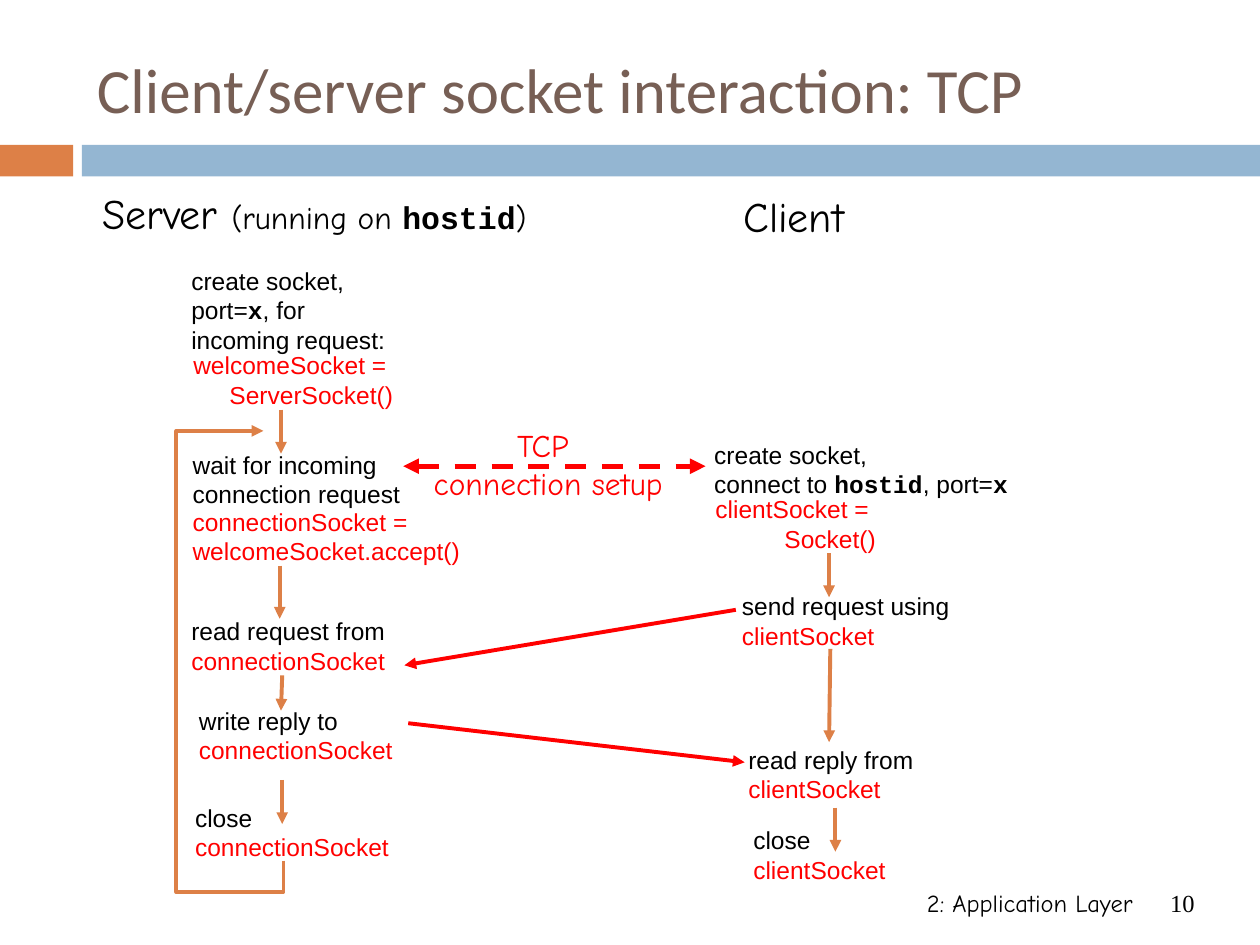
from lxml import etree
from pptx import Presentation
from pptx.dml.color import RGBColor
from pptx.enum.dml import MSO_LINE
from pptx.enum.shapes import MSO_CONNECTOR, MSO_SHAPE
from pptx.enum.text import MSO_ANCHOR, MSO_AUTO_SIZE, PP_ALIGN
from pptx.oxml.ns import qn
from pptx.util import Inches, Pt

LEFT, CENTER, RIGHT = PP_ALIGN.LEFT, PP_ALIGN.CENTER, PP_ALIGN.RIGHT
TOP, MIDDLE = MSO_ANCHOR.TOP, MSO_ANCHOR.MIDDLE
FIXED, GROW = MSO_AUTO_SIZE.NONE, MSO_AUTO_SIZE.SHAPE_TO_FIT_TEXT
STRAIGHT, RECT, DASH = MSO_CONNECTOR.STRAIGHT, MSO_SHAPE.RECTANGLE, MSO_LINE.DASH

ORANGE = RGBColor(0xDD, 0x80, 0x47)
BLUE = RGBColor(0x94, 0xB6, 0xD2)
BROWN = RGBColor(0x77, 0x5F, 0x55)
RED = RGBColor(0xFF, 0x00, 0x00)
BLACK = RGBColor(0x00, 0x00, 0x00)

SANS, HAND, MONO, SERIF, HEADING = (
    "Arial", "Comic Neue", "Courier New", "Times New Roman", "Calibri")

prs = Presentation()
prs.slide_width, prs.slide_height = Inches(10), Inches(7.5)
s = prs.slides.add_slide(prs.slide_layouts[6])


def add_text(box, paragraphs, align=LEFT, anchor=MIDDLE, wrap=False):
    """Each paragraph is a list of runs: text, font, size, colour.

    A box that does not wrap grows to fit its text.
    """
    sp = s.shapes.add_textbox(*(Inches(v) for v in box))
    tf = sp.text_frame
    tf.word_wrap = wrap
    tf.auto_size = FIXED if wrap else GROW
    tf.vertical_anchor = anchor
    for i, runs in enumerate(paragraphs):
        p = tf.add_paragraph() if i else tf.paragraphs[0]
        p.alignment = align
        for text, font, size, color in runs:
            r = p.add_run()
            r.text = text
            r.font.name = font
            r.font.size = Pt(size)
            r.font.bold = font == MONO
            r.font.color.rgb = color


def style_arrow(sp, color, width=2.25, dash=None, ends=("tailEnd",)):
    sp.line.color.rgb = color
    sp.line.width = Pt(width)
    if dash:
        sp.line.dash_style = dash
    ln = sp.line._get_or_add_ln()
    for end in ends:
        etree.SubElement(ln, qn(f"a:{end}"), type="triangle")
    etree.SubElement(sp._element.spPr, qn("a:effectLst"))


# Header bars, title and footer
for left, width, color in [(0, 0.58, ORANGE), (0.65, 9.35, BLUE)]:
    sp = s.shapes.add_shape(RECT, Inches(left), Inches(1.15), Inches(width), Inches(0.25))
    sp.shadow.inherit = False
    sp.fill.solid()
    sp.fill.fore_color.rgb = color
    sp.line.fill.background()

add_text((0.67, 0.25, 8.92, 0.9),
         [[("Client/server socket interaction: TCP", HEADING, 36, BROWN)]], wrap=True)
add_text((5.92, 7, 3.17, 0.5), [[("2: Application Layer", HAND, 14, BLACK)]],
         RIGHT, TOP, True)
add_text((9.08, 7, 0.5, 0.5), [[("10", SERIF, 14, BLACK)]], RIGHT, TOP, True)

# Column headings
add_text((0.71, 1.44, 3.57, 0.5),
         [[("Server ", HAND, 24, BLACK), ("(running on ", HAND, 18, BLACK),
           ("hostid", MONO, 18, BLACK), (")", HAND, 18, BLACK)]], CENTER)
add_text((5.8, 1.46, 1, 0.5), [[("Client", HAND, 24, BLACK)]], CENTER)

# Socket creation steps with inline code
add_text((1.42, 2.06, 1.74, 0.8),
         [[("create socket,", SANS, 14, BLACK)],
          [("port=", SANS, 14, BLACK), ("x", MONO, 14, BLACK), (", for", SANS, 14, BLACK)],
          [("incoming request:", SANS, 14, BLACK)]])
add_text((5.57, 3.44, 2.53, 0.57),
         [[("create socket,", SANS, 14, BLACK)],
          [("connect to ", SANS, 14, BLACK), ("hostid", MONO, 14, BLACK),
           (", port=", SANS, 14, BLACK), ("x", MONO, 14, BLACK)]])

# Two-line steps: left, top, width, lines, colours, alignment
two_line_steps = [
    (1.43, 2.73, 1.79, "welcomeSocket = ", "ServerSocket()", RED, RED, RIGHT),
    (1.43, 3.52, 1.85, "wait for incoming", "connection request", BLACK, BLACK, LEFT),
    (1.43, 3.97, 2.34, "connectionSocket =", "welcomeSocket.accept()", RED, RED, LEFT),
    (1.42, 4.84, 1.74, "read request from", "connectionSocket", BLACK, RED, LEFT),
    (1.48, 5.55, 1.74, "write reply to", "connectionSocket", BLACK, RED, LEFT),
    (1.45, 6.32, 1.74, "close", "connectionSocket", BLACK, RED, LEFT),
    (5.57, 3.87, 1.48, "clientSocket = ", "Socket()", RED, RED, RIGHT),
    (5.79, 4.64, 1.85, "send request using", "clientSocket", BLACK, RED, LEFT),
    (5.84, 5.86, 1.51, "read reply from", "clientSocket", BLACK, RED, LEFT),
    (5.88, 6.5, 1.25, "close", "clientSocket", BLACK, RED, LEFT),
]
for left, top, width, first, second, color1, color2, align in two_line_steps:
    add_text((left, top, width, 0.57),
             [[(first, SANS, 14, color1)], [(second, SANS, 14, color2)]], align)

# Flow arrows within a column (orange) and messages between columns (red)
BOTH_ENDS = {"width": 3, "dash": DASH, "ends": ("headEnd", "tailEnd")}
arrows = [
    (2.23, 3.25, 2.23, 3.6, ORANGE, {}),
    (2.22, 4.49, 2.22, 4.91, ORANGE, {}),
    (2.24, 5.36, 2.23, 5.64, ORANGE, {}),
    (2.24, 6.19, 2.24, 6.54, ORANGE, {}),
    (6.58, 4.39, 6.58, 4.74, ORANGE, {}),
    (6.59, 5.15, 6.58, 5.89, ORANGE, {}),
    (6.63, 6.41, 6.63, 6.76, ORANGE, {}),
    (5.84, 4.84, 3.21, 5.28, RED, {}),
    (3.24, 5.74, 5.91, 6.05, RED, {}),
    (3.2, 3.7, 5.6, 3.7, RED, BOTH_ENDS),
]
for *ends, color, options in arrows:
    sp = s.shapes.add_connector(STRAIGHT, *(Inches(v) for v in ends))
    style_arrow(sp, color, **options)

# Loop from close back to wait
loop = [(Inches(x), Inches(y)) for x, y in
        [(2.25, 6.83), (2.25, 7.08), (1.4, 7.08), (1.4, 3.42), (2.09, 3.42)]]
builder = s.shapes.build_freeform(*loop[0])
builder.add_line_segments(loop[1:], close=False)
sp = builder.convert_to_shape()
sp.fill.background()
style_arrow(sp, ORANGE)

add_text((3.34, 3.33, 2.02, 0.7),
         [[("TCP ", HAND, 18, RED)], [("connection setup", HAND, 18, RED)]], CENTER)

prs.save("out.pptx")
